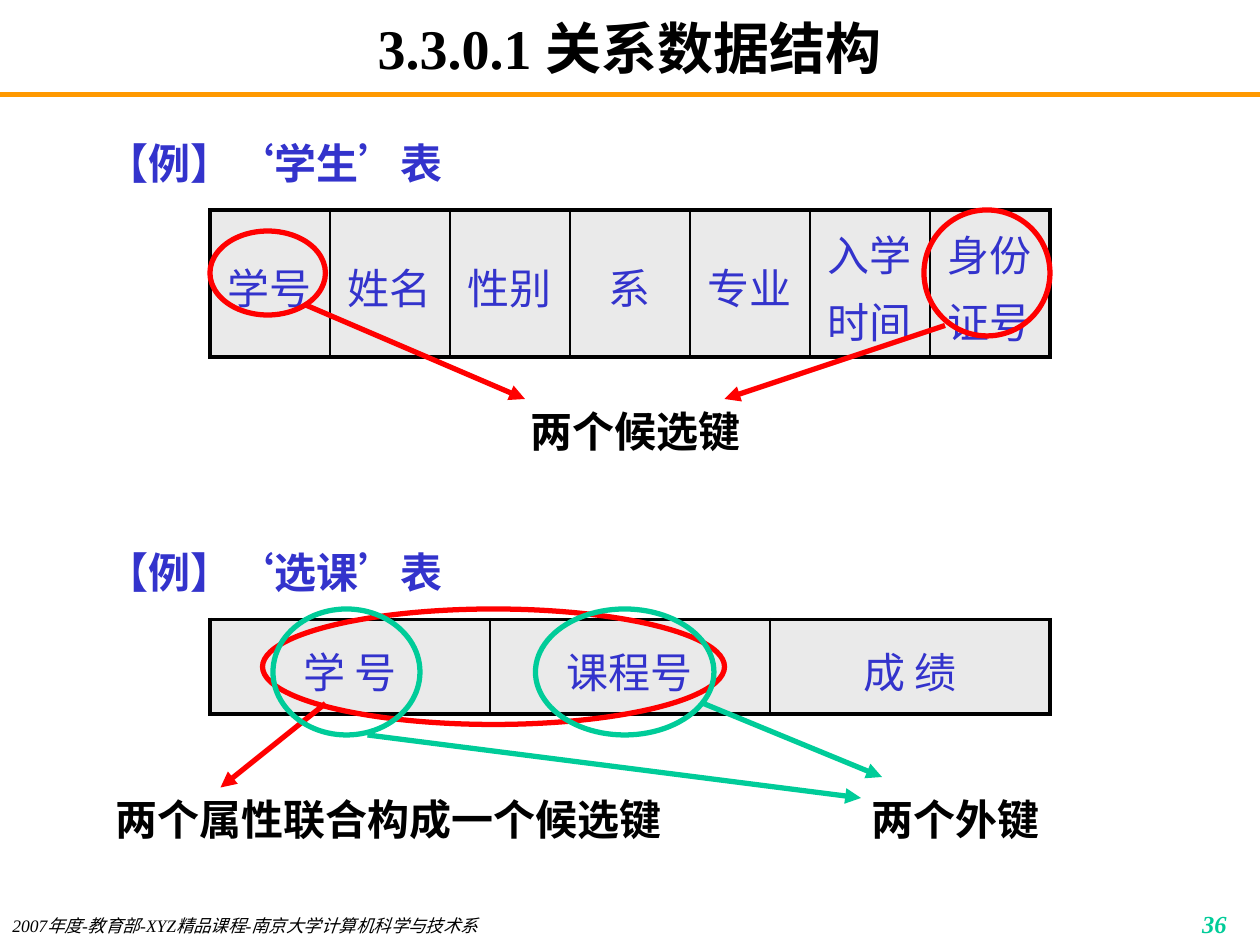
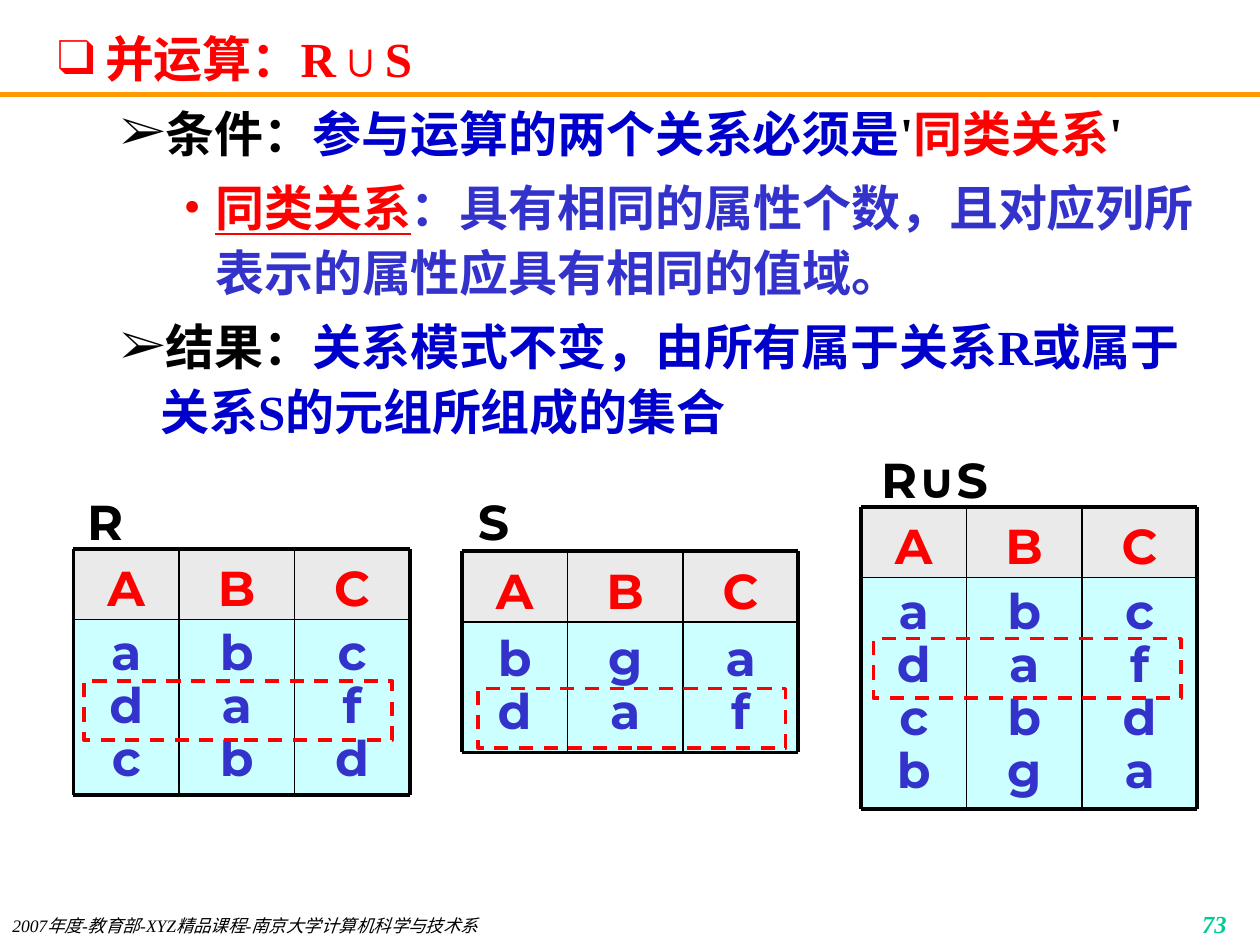
from itertools import accumulate

from lxml import etree
from pptx import Presentation
from pptx import util as u
from pptx.dml.color import RGBColor
from pptx.enum import dml, shapes, text
from pptx.oxml import ns

COLORS = {
    "ink": "000000", "band": "FF9900", "key": "FF0000", "foreign": "00CC99",
    "body": "3333CC", "strong": "0000CC", "header": "EAEAEA", "tuple": "CCFFFF",
}
SERIF, SANS, HAN = "Times New Roman", "Montserrat", "Noto Sans CJK SC"
LEFT, CENTER, RIGHT = text.PP_ALIGN.LEFT, text.PP_ALIGN.CENTER, text.PP_ALIGN.RIGHT
TOP, MIDDLE = text.MSO_ANCHOR.TOP, text.MSO_ANCHOR.MIDDLE
OVAL, RECTANGLE = shapes.MSO_SHAPE.OVAL, shapes.MSO_SHAPE.RECTANGLE
FOOTER = "2007年度-教育部-XYZ精品课程-南京大学计算机科学与技术系"


def color(name):
    return RGBColor.from_string(COLORS[name])


def child(parent, tag, **attributes):
    return etree.SubElement(parent, ns.qn(tag), **attributes)


def assign(target, values):
    for name, value in values.items():
        setattr(target, name, value)


class Deck:
    """Holds the lecture style and the slide being filled."""

    def __init__(self):
        self.show = Presentation()
        assign(self.show, {"slide_width": u.Pt(720), "slide_height": u.Pt(540)})

    def start(self, number):
        self.slide = self.show.slides.add_slide(self.show.slide_layouts[6])
        self.line((0, 54), (720, 54), "band")
        self.label((0, 519.5, 439, 20), FOOTER, size=10, bold=False, italic=True, align=LEFT)
        self.label((558, 516, 150, 18), number, size=14, italic=True,
                   hue="foreign", align=RIGHT)

    def paragraph(self, p, runs, size=24, hue="ink", face=SERIF, bold=True, italic=False,
                  align=CENTER, spacing=1.0, before=0):
        assign(p, {"alignment": align, "line_spacing": spacing, "space_before": u.Pt(0)})
        gap = p._p.pPr.find(ns.qn("a:spcBef"))
        gap.clear()
        child(gap, "a:spcPct", val=str(before * 1000))
        for words, *custom in [(runs,)] if isinstance(runs, str) else runs:
            run = p.add_run()
            run.text = words
            assign(run.font, {"name": face, "size": u.Pt(size), "bold": bold,
                              "italic": italic, "underline": "underline" in custom})
            run.font.color.rgb = color(custom[0] if custom else hue)
            child(run._r.rPr, "a:ea", typeface=HAN)

    def paragraphs(self, frame, lines, **style):
        for index, runs in enumerate(lines):
            p = frame.add_paragraph() if index else frame.paragraphs[0]
            self.paragraph(p, runs, **style)

    def frame(self, box, **format_values):
        frame = self.slide.shapes.add_textbox(*map(u.Pt, box)).text_frame
        assign(frame, {"word_wrap": True, **format_values})
        return frame

    def label(self, box, words, inset=None, anchor=TOP, **style):
        sides = ("left", "top", "right", "bottom")
        margins = {} if inset is None else {f"margin_{side}": u.Pt(inset) for side in sides}
        frame = self.frame(box, vertical_anchor=anchor, **margins)
        self.paragraphs(frame, [words], **style)

    def outline(self, box, items):
        frame = self.frame(box)
        for index, (level, bullet, runs) in enumerate(items):
            p = frame.add_paragraph() if index else frame.paragraphs[0]
            self.paragraph(p, runs, size=28, align=LEFT, spacing=1.1, before=20)
            margin, hang = [(27, 27), (58.5, 22.5), (90, 18)][level]
            p.level = level
            p._p.pPr.set("marL", str(u.Pt(margin)))
            p._p.pPr.set("indent", str(-u.Pt(hang)))
            child(p._p.pPr, "a:buFont", typeface=SERIF)
            child(p._p.pPr, "a:buChar", char=bullet)

    def line(self, start, end, hue, width=3, arrow=False):
        line = self.slide.shapes.add_connector(
            shapes.MSO_CONNECTOR.STRAIGHT, *map(u.Pt, start + end))
        line.line.width = u.Pt(width)
        line.line.color.rgb = color(hue)
        if arrow:
            child(line.line._get_or_add_ln(), "a:tailEnd", type="triangle")
        child(line._element.spPr, "a:effectLst")

    def arrow(self, start, end, hue):
        self.line(start, end, hue, arrow=True)

    def ring(self, box, hue, kind=OVAL, width=3, dash=None):
        ring = self.slide.shapes.add_shape(kind, *map(u.Pt, box))
        ring.shadow.inherit = False
        ring.fill.background()
        ring.line.color.rgb = color(hue)
        assign(ring.line, {"width": u.Pt(width), "dash_style": dash})

    def panel(self, box, fill, lines, **style):
        panel = self.slide.shapes.add_shape(RECTANGLE, *map(u.Pt, box))
        panel.shadow.inherit = False
        panel.fill.solid()
        panel.fill.fore_color.rgb = color(fill)
        panel.line.fill.background()
        assign(panel.text_frame, {"word_wrap": True, "vertical_anchor": MIDDLE,
                                  "margin_top": 0, "margin_bottom": 0})
        self.paragraphs(panel.text_frame, lines, size=28, face=SANS, **style)

    def borders(self, cell, outer):
        for side, is_outer in outer.items():
            edge = child(cell._tc.get_or_add_tcPr(), f"a:ln{side}",
                         w=str(u.Pt(2.25 if is_outer else 1)))
            child(child(edge, "a:solidFill"), "a:srgbClr", val=COLORS["ink"])

    def schema(self, top, height, title, names):
        style = {"hue": "body", "spacing": 1.1, "before": 20}
        self.label((54, top - 48, 612, 42), title, align=LEFT, **style)
        grid = self.slide.shapes.add_table(
            1, len(names), *map(u.Pt, (120, top, 480, height))).table
        assign(grid, {"first_row": False, "horz_banding": False})
        for c, name in enumerate(names):
            grid.columns[c].width = u.Pt(480 / len(names))
            cell = grid.cell(0, c)
            self.borders(cell, {"L": c == 0, "R": c == len(names) - 1, "T": True, "B": True})
            cell.fill.solid()
            cell.fill.fore_color.rgb = color("header")
            cell.vertical_anchor = MIDDLE
            self.paragraphs(cell.text_frame, [name], bold=False, **style)

    def relation(self, corner, name, label_top, label_width, tuples, height):
        left, top = corner
        widths, header = (60.25, 66, 66), 40.5
        edges = list(accumulate(widths, initial=left))
        levels = [top, top + header, top + header + height]
        for x, width, attribute, values in zip(edges, widths, "ABC", zip(*tuples)):
            self.panel((x, levels[1], width, height), "tuple", values,
                       hue="body", spacing=0.9)
            self.panel((x, top, width, header), "header", [attribute],
                       hue="key", spacing=1.1)
        for y in levels:
            self.line((left, y), (edges[-1], y), "ink", 1 if y == levels[1] else 2.25)
        for x in edges:
            self.line((x, top), (x, levels[-1]), "ink", 1 if x in edges[1:-1] else 2.25)
        self.label((left + 6, label_top, label_width, 36.5), name, inset=0,
                   size=28, face=SANS, before=50)

    def shared_tuple(self, x, y):
        self.ring((x, y, 176, 34), "key", RECTANGLE, 2, dml.MSO_LINE.DASH)


deck = Deck()

deck.start("36")
deck.label((54, 6, 612, 42), "3.3.0.1 关系数据结构", anchor=MIDDLE, size=32)
deck.schema(120, 84, "【例】‘学生’表",
            ["学号", "姓名", "性别", "系", "专业", "入学时间", "身份证号"])
deck.ring((120, 132, 66, 48), "key")
deck.ring((528, 120, 72, 72), "key")
deck.label((216, 228, 294, 36), "两个候选键", before=50)
deck.arrow((174, 174), (300, 228), "key")
deck.arrow((540, 186), (414, 228), "key")

deck.schema(354, 54, "【例】‘选课’表", ["学 号", "课程号", "成 绩"])
deck.ring((150, 348, 264, 66), "key")
deck.label((48, 450, 348, 36), "两个属性联合构成一个候选键", before=50)
deck.arrow((186, 402), (126, 450), "key")
deck.ring((156, 348, 84, 72), "foreign")
deck.ring((306, 348, 102, 72), "foreign")
deck.arrow((210, 420), (492, 456), "foreign")
deck.arrow((402, 402), (504, 444), "foreign")
deck.label((474, 450, 144, 36), "两个外键", before=50)

deck.start("73")
deck.outline((25.9, 9.5, 665.5, 426), [
    (0, "❑", [("并运算：R∪S", "key")]),
    (1, "➢", [("条件：", "ink"), ("参与运算的两个关系必须是", "strong"), ("'", "ink"),
              ("同类关系", "key"), ("'", "ink")]),
    (2, "•", [("同类关系", "key", "underline"),
              ("：具有相同的属性个数，且对应列所表示的属性应具有相同的值域。", "body")]),
    (1, "➢", [("结果：", "ink"),
              ("关系模式不变，由所有属于关系R或属于关系S的元组所组成的集合", "strong")]),
])
deck.relation((42, 313.5), "R", 281, 24, ["abc", "daf", "cbd"], 100.5)
deck.relation((264, 315), "S", 281, 24, ["bga", "daf"], 74.5)
deck.relation((492, 289.5), "R∪S", 257, 72, ["abc", "daf", "cbd", "bga"], 132.5)
for x, y in [(48, 389), (273, 393.5), (499, 365)]:
    deck.shared_tuple(x, y)

deck.show.save("out.pptx")
